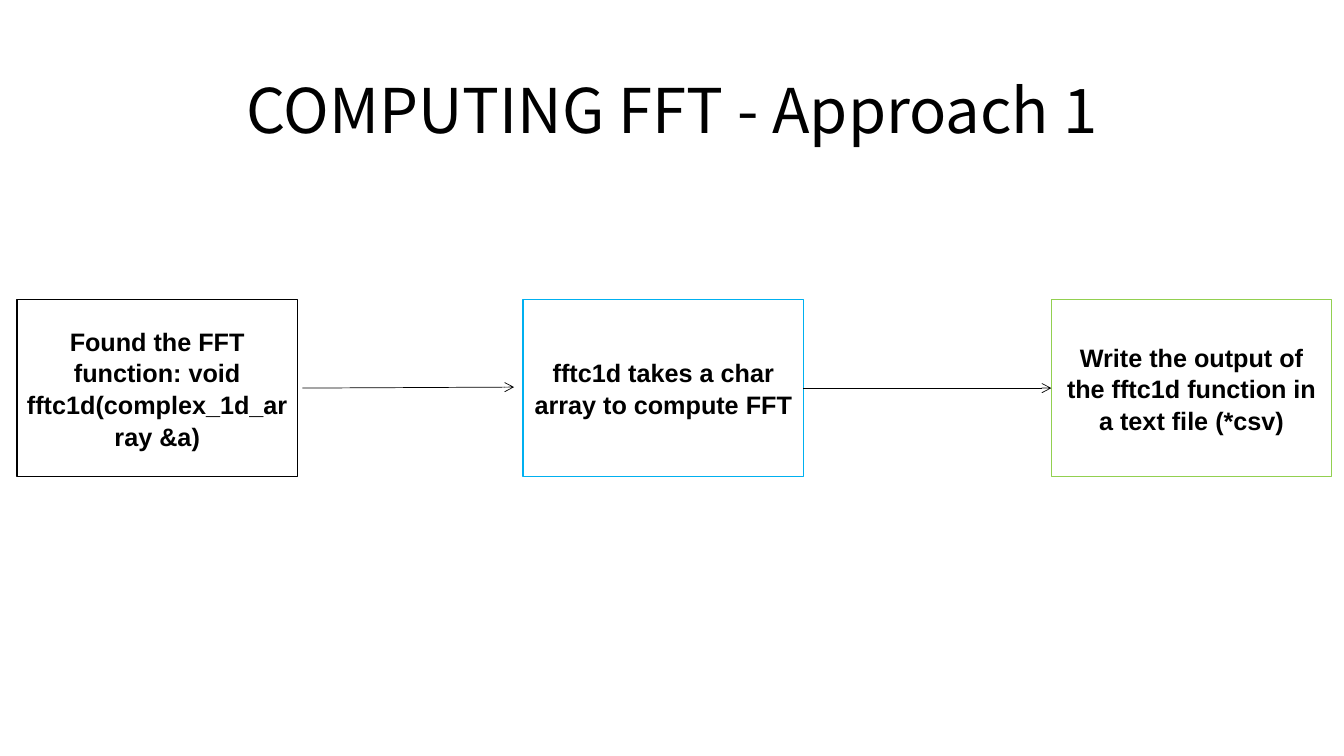
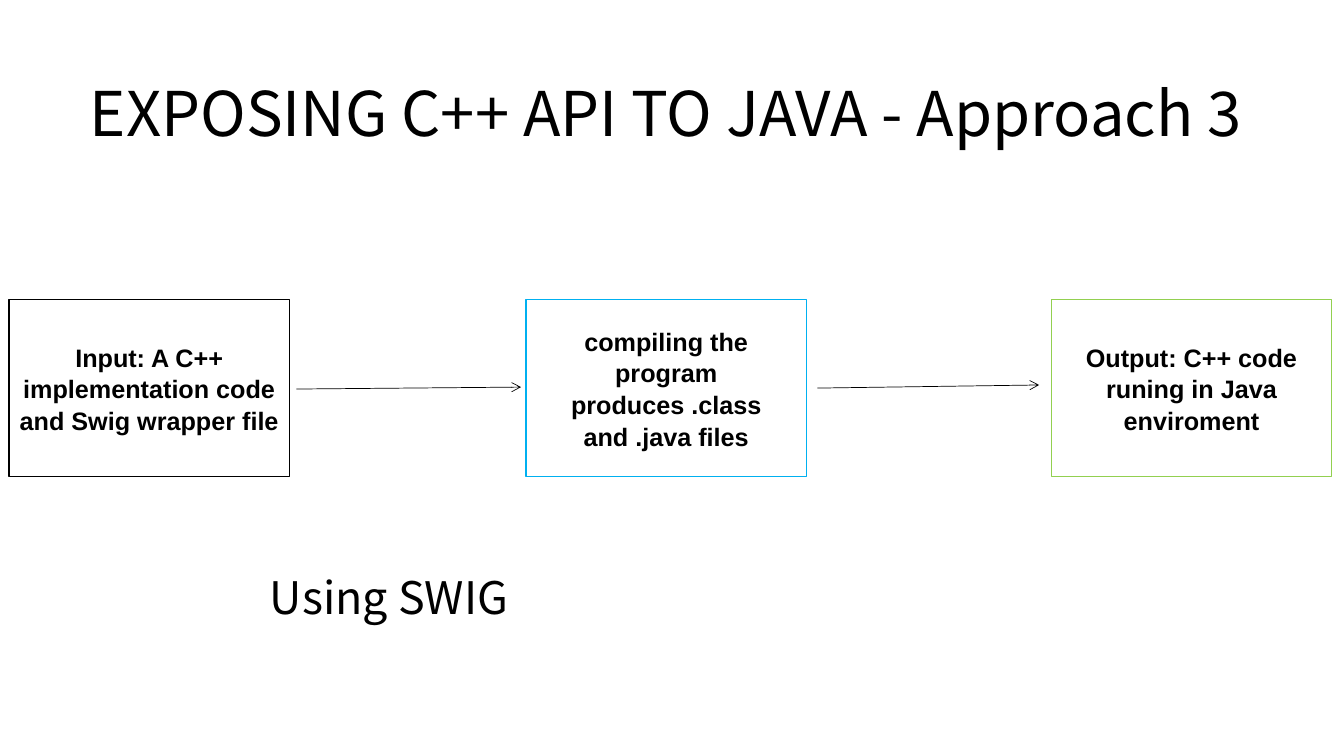
"""Build two slides that show a three-step flow each."""
from lxml import etree
from pptx import Presentation
from pptx.dml.color import RGBColor
from pptx.enum import shapes, text
from pptx.oxml import ns
from pptx.util import Pt

INK = {"black": "000000", "white": "FFFFFF", "blue": "00B0F0", "green": "92D050"}
EDGES = ["black", "blue", "green"]
SANS, BODY = "Noto Sans CJK JP", "Arial"
TOP, WIDE, HIGH = 213.8, 200.2, 126.7

SLIDES = [
    {
        "title": "COMPUTING FFT - Approach 1",
        "place": (154.8, 25.9, 650.9, 103.7),
        "steps": [
            (12.2, "Found the FFT function: void fftc1d(complex_1d_array &a)"),
            (373.7, "fftc1d takes a char array to compute FFT"),
            (751, "Write the output of the fftc1d function in a text file (*csv)"),
        ],
        "arrows": [(216, 277.2, 367.2, 276.5), (573.9, 277.2, 751, 277.2)],
    },
    {
        "title": "EXPOSING C++ API TO JAVA - Approach 3",
        "place": (54.7, 28.1, 842.4, 103.7),
        "steps": [
            (6.5, "Input: A C++ implementation code\nand Swig wrapper file"),
            (375.8, "compiling the program produces .class and .java files"),
            (751, "Output: C++ code runing in Java enviroment"),
        ],
        "arrows": [(211.7, 277.9, 372.2, 276.5), (583.9, 277.2, 742.3, 275)],
        "note": ("Using SWIG", (160.6, 411.8, 234.7, 28.8)),
    },
]


def paint(name):
    return RGBColor.from_string(INK[name])


def write(shape, words, size=18, face=SANS, bold=False, space=1.0):
    frame = shape.text_frame
    frame.word_wrap = True
    frame.auto_size = text.MSO_AUTO_SIZE.NONE
    frame.vertical_anchor = text.MSO_ANCHOR.MIDDLE
    frame.text = words
    for para in frame.paragraphs:
        para.alignment = text.PP_ALIGN.CENTER
        para.line_spacing = space
        for run in para.runs:
            font = run.font
            font.size, font.name, font.bold = Pt(size), face, bold
            font.color.rgb = paint("black")


def add_step(slide, left, words, edge):
    box = slide.shapes.add_shape(
        shapes.MSO_SHAPE.RECTANGLE, Pt(left), Pt(TOP), Pt(WIDE), Pt(HIGH))
    box.shadow.inherit = False
    box.fill.solid()
    box.fill.fore_color.rgb = paint("white")
    box.line.color.rgb = paint(edge)
    box.line.width = Pt(1)
    write(box, words, face=BODY, bold=True, space=1.05)


def add_arrow(slide, ends):
    link = slide.shapes.add_connector(
        shapes.MSO_CONNECTOR.STRAIGHT, *map(Pt, ends))
    link.line.color.rgb = paint("black")
    link.line.width = Pt(0.5)
    etree.SubElement(link.line._get_or_add_ln(), ns.qn("a:tailEnd"), type="arrow")
    etree.SubElement(link._element.spPr, ns.qn("a:effectLst"))


def build(deck, data):
    slide = deck.slides.add_slide(deck.slide_layouts[5])
    title = slide.shapes.title
    title.left, title.top, title.width, title.height = map(Pt, data["place"])
    write(title, data["title"], size=44)
    for (left, words), edge in zip(data["steps"], EDGES):
        add_step(slide, left, words, edge)
    for ends in data["arrows"]:
        add_arrow(slide, ends)
    if "note" in data:
        words, place = data["note"]
        write(slide.shapes.add_textbox(*map(Pt, place)), words, size=32)


deck = Presentation()
deck.slide_width, deck.slide_height = Pt(960), Pt(540)
for data in SLIDES:
    build(deck, data)
deck.save("out.pptx")
